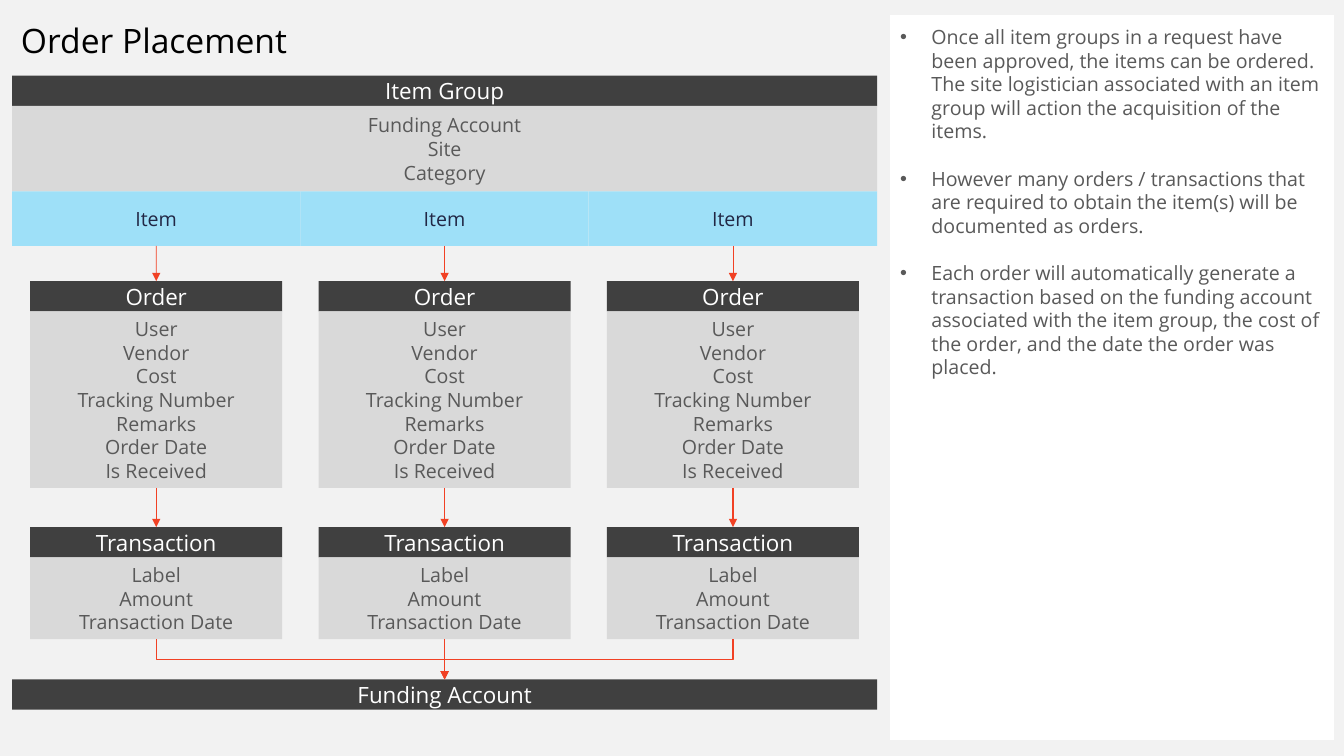
from pptx import Presentation
from pptx.dml.color import RGBColor
from pptx.enum.shapes import MSO_CONNECTOR, MSO_SHAPE
from pptx.enum.text import MSO_ANCHOR, PP_ALIGN
from pptx.oxml.ns import qn
from pptx.util import Inches, Pt
from lxml import etree

STRAIGHT, ELBOW = MSO_CONNECTOR.STRAIGHT, MSO_CONNECTOR.ELBOW
RECT = MSO_SHAPE.RECTANGLE
TOP, MIDDLE = MSO_ANCHOR.TOP, MSO_ANCHOR.MIDDLE
LEFT, CENTER = PP_ALIGN.LEFT, PP_ALIGN.CENTER

BLACK = RGBColor(0x00, 0x00, 0x00)
WHITE = RGBColor(0xFF, 0xFF, 0xFF)
BACKGROUND = RGBColor(0xF2, 0xF2, 0xF2)
DARK = RGBColor(0x40, 0x40, 0x40)
LIGHT = RGBColor(0xD9, 0xD9, 0xD9)
GREY = RGBColor(0x59, 0x59, 0x59)
BLUE = RGBColor(0x9E, 0xE0, 0xF8)
NAVY = RGBColor(0x21, 0x27, 0x45)
RED = RGBColor(0xF1, 0x41, 0x24)

FONT = "Open Sans"
COLUMNS = 3
PITCH = 2.86
CARD_W = 2.5
HEADER_H = 0.3
DIAGRAM_X = 0.12
DIAGRAM_W = COLUMNS * PITCH

GROUP_FIELDS = ["Funding Account", "Site", "Category"]
ORDER_FIELDS = ["User", "Vendor", "Cost", "Tracking Number", "Remarks",
                "Order Date", "Is Received"]
TRANSACTION_FIELDS = ["Label", "Amount", "Transaction Date"]
NOTES = [
    "Once all item groups in a request have been approved, the items can be "
    "ordered. The site logistician associated with an item group will action "
    "the acquisition of the items.",
    "However many orders / transactions that are required to obtain the "
    "item(s) will be documented as orders.",
    "Each order will automatically generate a transaction based on the "
    "funding account associated with the item group, the cost of the order, "
    "and the date the order was placed.",
]


def write(tf, lines, size=14, color=GREY, align=CENTER, anchor=MIDDLE,
          after=0, bullet=False):
    tf.word_wrap = True
    tf.vertical_anchor = anchor
    for i, line in enumerate(lines):
        p = tf.paragraphs[0] if i == 0 else tf.add_paragraph()
        p.alignment = align
        p.space_after = Pt(after)
        r = p.add_run()
        r.text = line
        r.font.name = FONT
        r.font.size = Pt(size)
        r.font.color.rgb = color
        if bullet:
            pPr = p._p.get_or_add_pPr()
            pPr.set("marL", str(Inches(0.31)))
            pPr.set("indent", str(-Inches(0.31)))
            etree.SubElement(pPr, qn("a:buFont")).set("typeface", "Arial")
            etree.SubElement(pPr, qn("a:buChar")).set("char", "•")


def add_box(s, x, y, w, h, fill, lines, **fmt):
    sp = s.shapes.add_shape(RECT, Inches(x), Inches(y), Inches(w), Inches(h))
    sp.shadow.inherit = False
    sp.fill.solid()
    sp.fill.fore_color.rgb = fill
    sp.line.fill.background()
    write(sp.text_frame, lines, **fmt)
    return sp


def add_header(s, x, y, w, text):
    return add_box(s, x, y, w, HEADER_H, DARK, [text], size=16, color=WHITE)


def add_card(s, x, y, w, h, title, fields):
    header = add_header(s, x, y, w, title)
    body = add_box(s, x, y + HEADER_H, w, h - HEADER_H, LIGHT, fields)
    return header, body


def add_arrow(s, kind, x1, y1, x2, y2, width=1):
    c = s.shapes.add_connector(kind, Inches(x1), Inches(y1), Inches(x2), Inches(y2))
    c.line.color.rgb = RED
    c.line.width = Pt(width)
    etree.SubElement(c.line._get_or_add_ln(), qn("a:tailEnd")).set("type", "triangle")
    etree.SubElement(c._element.spPr, qn("a:effectLst"))
    return c


def join(s, upper, lower, width=1):
    c = add_arrow(s, STRAIGHT, 0, 0, 0, 0, width)
    c.begin_connect(upper, 2)
    c.end_connect(lower, 0)


def add_elbow_down(s, x1, y1, x2, y2):
    cx, cy = (x1 + x2) / 2, (y1 + y2) / 2
    side = 1 if x2 > x1 else -1
    dx, dy = side * (y2 - y1) / 2, abs(x2 - x1) / 2
    c = add_arrow(s, ELBOW, cx + dx, cy - dy, cx - dx, cy + dy)
    angle = 270 if side > 0 else 90
    c._element.spPr.find(qn("a:xfrm")).set("rot", str(angle * 60000))


def add_item_group(s, x, y, w):
    add_card(s, x, y, w, 1.15, "Item Group", GROUP_FIELDS)
    return [add_box(s, x + i * PITCH, y + 1.15, PITCH, 0.54, BLUE, ["Item"],
                    color=NAVY) for i in range(COLUMNS)]


def add_card_row(s, x, y, h, title, fields):
    inset = (PITCH - CARD_W) / 2
    return [add_card(s, x + i * PITCH + inset, y, CARD_W, h, title, fields)
            for i in range(COLUMNS)]


def add_diagram(s, x, y, w):
    items = add_item_group(s, x, y, w)
    orders = add_card_row(s, x, y + 2.04, 2.05, "Order", ORDER_FIELDS)
    transactions = add_card_row(s, x, y + 4.48, 1.11, "Transaction",
                                TRANSACTION_FIELDS)
    account = add_header(s, x, y + 5.99, w, "Funding Account")
    for item, order, transaction in zip(items, orders, transactions):
        join(s, item, order[0], 0.5)
        join(s, order[1], transaction[0])
    middle = x + w / 2
    join(s, transactions[1][1], account)
    for offset in (PITCH, -PITCH):
        add_elbow_down(s, middle + offset, y + 5.59, middle, y + 5.99)


def add_title(s, x, y, w, h):
    tb = s.shapes.add_textbox(Inches(x), Inches(y), Inches(w), Inches(h))
    write(tb.text_frame, ["Order Placement"], size=24, color=BLACK,
          align=LEFT, anchor=TOP)


def add_notes_panel(s, x, y, w, h):
    sp = add_box(s, x, y, w, h, WHITE, NOTES, align=LEFT, anchor=TOP,
                 after=17, bullet=True)
    sp.text_frame.margin_top = sp.text_frame.margin_bottom = Inches(0.1)


def main():
    prs = Presentation()
    prs.slide_width, prs.slide_height = Inches(13.33), Inches(7.5)
    s = prs.slides.add_slide(prs.slide_layouts[6])
    s.background.fill.solid()
    s.background.fill.fore_color.rgb = BACKGROUND
    add_notes_panel(s, 8.83, 0.15, 4.4, 7.19)
    add_title(s, 0.11, 0.15, DIAGRAM_W, 0.5)
    add_diagram(s, DIAGRAM_X, 0.75, DIAGRAM_W)
    prs.save("out.pptx")


if __name__ == "__main__":
    main()
